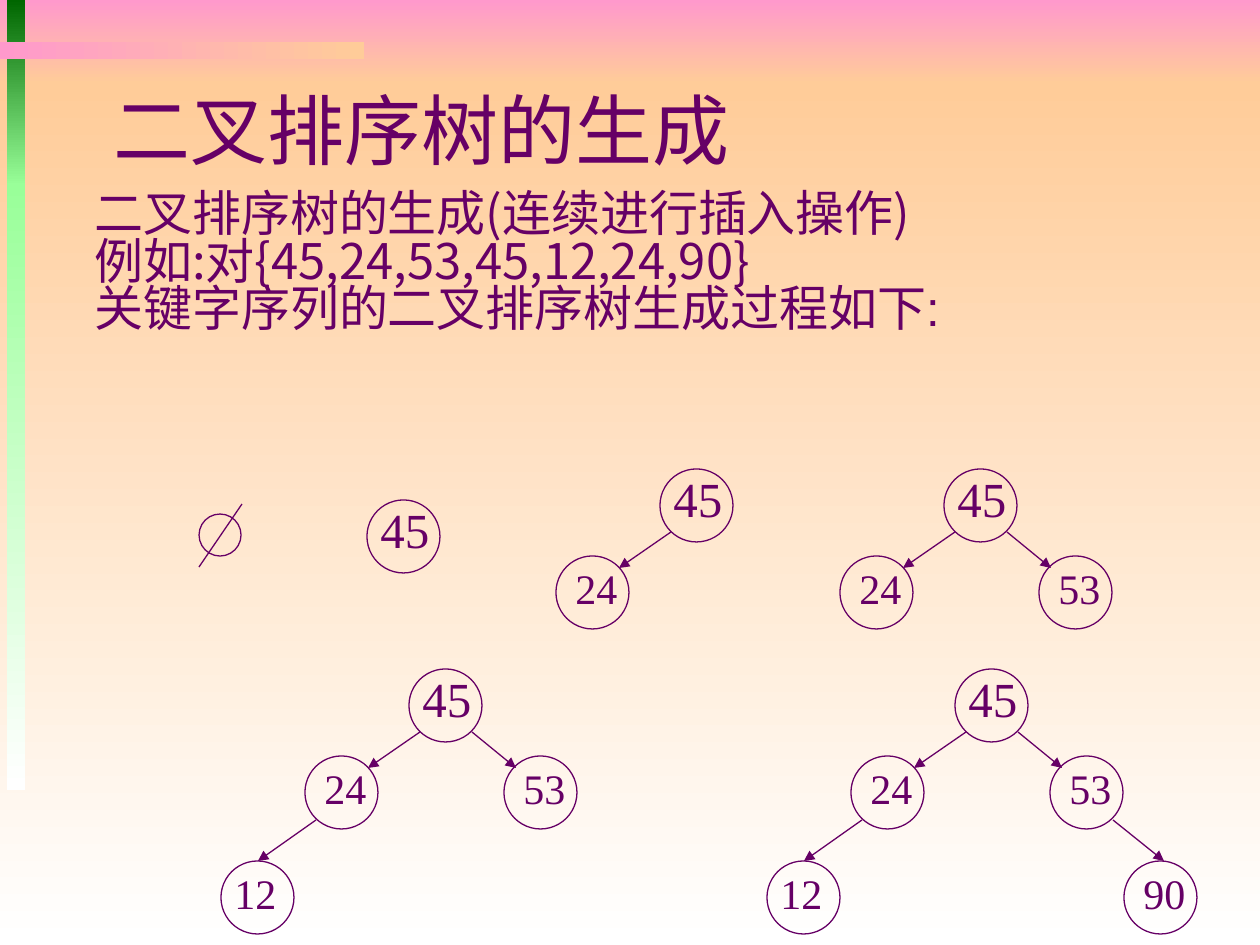
from lxml import etree
from pptx import Presentation
from pptx.dml.color import RGBColor
from pptx.enum.shapes import MSO_CONNECTOR, MSO_SHAPE
from pptx.enum.text import MSO_ANCHOR, PP_ALIGN
from pptx.oxml.ns import qn
from pptx.util import Inches, Pt

RECTANGLE, OVAL = MSO_SHAPE.RECTANGLE, MSO_SHAPE.OVAL
STRAIGHT = MSO_CONNECTOR.STRAIGHT
LEFT, MIDDLE, TOP = PP_ALIGN.LEFT, MSO_ANCHOR.MIDDLE, MSO_ANCHOR.TOP

PX_PER_INCH = 126
INK = "660066"
CJK, SANS, SERIF = "Noto Sans CJK SC", "Arial", "Times New Roman"

TITLE = "二叉排序树的生成"
# Each paragraph is a list of (text, font) spans.
BODY = [
    [("二叉排序树的生成", SANS), ("(连续进行插入操作)", CJK)],
    [("例如:对{45,24,53,45,12,24,90}", CJK)],
    [("关键字序列的", CJK), ("二叉排序树", SANS), ("生成", CJK), ("过程如下:", SANS)],
]

# (left, top, width, height), start colour, end colour, angle
BACKDROP = [
    ((0, 0, 1260, 84), "FF99CC", "FFCC99", 270),
    ((0, 84, 1260, 861), "FFCC99", "FFFFFF", 270),
    ((7, 0, 18, 186), "006600", "99FF99", 270),
    ((7, 184, 18, 606), "99FF99", "FFFFFF", 270),
    ((0, 42, 364, 17), "FF99CC", "FFCC99", 0),
]

# All offsets are measured from the top left corner of the root's circle.
NODE_SIZE = 73
NODES = {
    "45": {"offset": (0, 0), "label": (1, -7, 74, 72), "size": 28},
    "24": {"offset": (-104, 87), "label": (7, 0, 67, 63), "size": 24},
    "53": {"offset": (95, 87), "label": (7, 0, 67, 63), "size": 24},
    "12": {"offset": (-188, 192), "label": (1, 0, 67, 63), "size": 24},
    "90": {"offset": (169, 192), "label": (7, 0, 67, 63), "size": 24},
}
ARROWS = {  # arrow into each node: start, end
    "24": ((11, 63), (-41, 99)),
    "53": ((63, 63), (107, 99)),
    "12": ((-93, 151), (-151, 192)),
    "90": ((158, 151), (209, 192)),
}
TREES = [  # root position, keys
    ((367, 500), ["45"]),
    ((660, 469), ["45", "24"]),
    ((944, 469), ["45", "24", "53"]),
    ((409, 669), ["45", "24", "53", "12"]),
    ((955, 669), ["45", "24", "53", "12", "90"]),
]
EMPTY_CIRCLE = (199, 514, 42, 42)
EMPTY_STROKE = ((242, 504), (199, 567))


def px(value):
    return round(Inches(value) / PX_PER_INCH)


def scaled(values):
    return [px(value) for value in values]


def colour(code):
    return RGBColor.from_string(code)


def write(box, paragraphs, size, wrap=True, anchor=TOP, line_spacing=None, gap=0):
    frame = box.text_frame
    frame.word_wrap = wrap
    frame.vertical_anchor = anchor
    for index, spans in enumerate(paragraphs):
        para = frame.add_paragraph() if index else frame.paragraphs[0]
        para.alignment = LEFT
        if line_spacing:
            para.line_spacing = line_spacing
        if index:
            para.space_before = Pt(gap)
        for text, font in spans:
            span = para.add_run()
            span.text = text
            span.font.name = font
            span.font.size = Pt(size)
            span.font.color.rgb = colour(INK)


def add_band(slide, area, start, end, angle):
    band = slide.shapes.add_shape(RECTANGLE, *scaled(area))
    band.shadow.inherit = False
    band.line.fill.background()
    band.fill.gradient()
    band.fill.gradient_angle = angle
    for stop, code in zip(band.fill.gradient_stops, (start, end)):
        stop.color.rgb = colour(code)


def add_circle(slide, area):
    circle = slide.shapes.add_shape(OVAL, *scaled(area))
    circle.shadow.inherit = False
    circle.fill.background()
    circle.line.color.rgb = colour(INK)
    circle.line.width = Pt(0.75)


def add_line(slide, start, end, arrow=False):
    line = slide.shapes.add_connector(STRAIGHT, *scaled(start + end))
    line.line.color.rgb = colour(INK)
    line.line.width = Pt(0.75)
    if arrow:
        etree.SubElement(line.line._get_or_add_ln(), qn("a:tailEnd"), type="triangle")
    etree.SubElement(line.element.spPr, qn("a:effectLst"))


def add_tree(slide, root, keys):
    def place(offset):
        return (root[0] + offset[0], root[1] + offset[1])

    for key in keys:
        node = NODES[key]
        left, top = place(node["offset"])
        add_circle(slide, (left, top, NODE_SIZE, NODE_SIZE))
        shift_x, shift_y, width, height = node["label"]
        label = slide.shapes.add_textbox(
            *scaled((left + shift_x, top + shift_y, width, height)))
        write(label, [[(key, SERIF)]], node["size"], wrap=False)
        if key in ARROWS:
            start, end = ARROWS[key]
            add_line(slide, place(start), place(end), arrow=True)


def main():
    deck = Presentation()
    deck.slide_width, deck.slide_height = Inches(10), Inches(7.5)
    slide = deck.slides.add_slide(deck.slide_layouts[5])

    for band in BACKDROP:
        add_band(slide, *band)

    title = slide.shapes.title
    slide.shapes.element.append(title.element)  # bring in front of the backdrop
    title.left, title.top, title.width, title.height = scaled((101, 72, 1071, 113))
    write(title, [[(TITLE, "Roboto Condensed")]], 44, anchor=MIDDLE)

    body = slide.shapes.add_textbox(*scaled((82, 190, 1102, 180)))
    write(body, BODY, 28, line_spacing=0.75, gap=2)

    for root, keys in TREES:
        add_tree(slide, root, keys)
    add_circle(slide, EMPTY_CIRCLE)
    add_line(slide, *EMPTY_STROKE)

    deck.save("out.pptx")


if __name__ == "__main__":
    main()
